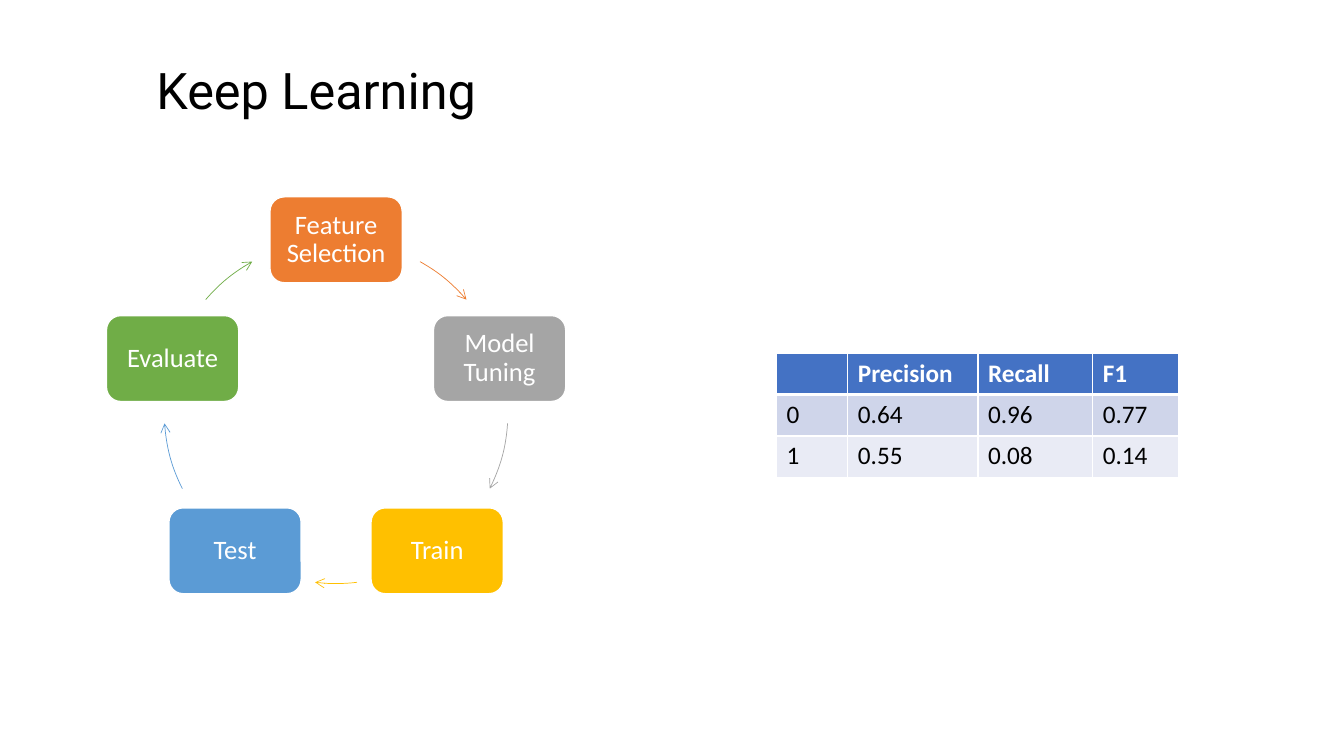
from dataclasses import dataclass
from math import cos, radians, sin

from lxml.etree import SubElement
from pptx import Presentation
from pptx.dml.color import RGBColor
from pptx.enum.shapes import MSO_SHAPE
from pptx.enum.text import MSO_ANCHOR, PP_ALIGN
from pptx.oxml.ns import qn
from pptx.util import Pt


@dataclass(frozen=True)
class Theme:
    """Colours, fonts and type sizes of the slide."""
    black: str = "000000"
    white: str = "FFFFFF"
    header: str = "4472C4"
    bands: tuple = ("CFD5EA", "E9EBF5")
    steps: tuple = ("ED7D31", "A5A5A5", "FFC000", "5B9BD5", "70AD47")
    title_font: str = "Roboto"
    body_font: str = "Calibri"
    title_size: int = 36
    node_size: int = 19
    table_size: int = 18


class Page:
    """Holds the theme and the current slide, and draws elements on it."""

    def __init__(self, slide, theme):
        """Keep the slide's shapes and the theme."""
        self.shapes, self.theme = slide.shapes, theme

    def style(self, para, size, color, font, bold=False):
        """Format every run of a paragraph."""
        for span in para.runs:
            span.font.size, span.font.name, span.font.bold = Pt(size), font, bold
            span.font.color.rgb = RGBColor.from_string(color)

    def title(self, text, left, top, width, height):
        """Add the heading."""
        box = self.shapes.add_textbox(Pt(left), Pt(top), Pt(width), Pt(height))
        frame = box.text_frame
        frame.word_wrap, frame.vertical_anchor = True, MSO_ANCHOR.MIDDLE
        frame.text = text
        para = frame.paragraphs[0]
        para.line_spacing = 0.9
        self.style(para, self.theme.title_size, self.theme.black, self.theme.title_font)

    def node(self, text, center, size, color):
        """Add a rounded step box around a centre point."""
        (x, y), (width, height) = center, size
        box = self.shapes.add_shape(MSO_SHAPE.ROUNDED_RECTANGLE, Pt(x - width / 2),
                                    Pt(y - height / 2), Pt(width), Pt(height))
        box.shadow.inherit = False
        box.fill.solid()
        box.fill.fore_color.rgb = RGBColor.from_string(color)
        box.line.color.rgb = RGBColor.from_string(self.theme.white)
        box.line.width = Pt(1)
        frame = box.text_frame
        frame.word_wrap, frame.vertical_anchor = True, MSO_ANCHOR.MIDDLE
        frame.margin_left = frame.margin_right = Pt(8.5)
        frame.margin_top = frame.margin_bottom = Pt(8.5)
        frame.text = text
        para = frame.paragraphs[0]
        para.alignment, para.line_spacing = PP_ALIGN.CENTER, 0.9
        self.style(para, self.theme.node_size, self.theme.white, self.theme.body_font)

    def arc_arrow(self, center, radius, start, end, color):
        """Add an arc of a circle, clockwise in degrees from the top, with an arrowhead."""
        builder = self.shapes.build_freeform(0, 0)
        builder.add_line_segments([(Pt(radius), Pt(radius))], close=False)
        arrow = builder.convert_to_shape()
        arrow.left, arrow.top = Pt(center[0] - radius), Pt(center[1] - radius)
        arrow.width = arrow.height = Pt(2 * radius)
        outline = next(arrow._element.iter(qn("a:path")))
        outline.clear()
        outline.set("w", str(Pt(2 * radius)))
        outline.set("h", str(Pt(2 * radius)))
        x, y = on_circle((radius, radius), radius, start)
        SubElement(SubElement(outline, qn("a:moveTo")), qn("a:pt"), x=str(Pt(x)), y=str(Pt(y)))
        SubElement(outline, qn("a:arcTo"), wR=str(Pt(radius)), hR=str(Pt(radius)),
                   stAng=str(round((start - 90) % 360 * 60000)),
                   swAng=str(round((end - start) * 60000)))
        arrow.shadow.inherit = False
        arrow.fill.background()
        arrow.line.color.rgb = RGBColor.from_string(color)
        arrow.line.width = Pt(0.5)
        SubElement(arrow.line._get_or_add_ln(), qn("a:tailEnd"), type="arrow")

    def borders(self, cell, bottom, top):
        """Draw white borders around a table cell."""
        properties = cell._tc.get_or_add_tcPr()
        for side, width in (("L", 1), ("R", 1), ("T", top), ("B", bottom)):
            line = SubElement(properties, qn(f"a:ln{side}"), w=str(Pt(width)))
            fill = SubElement(line, qn("a:solidFill"))
            SubElement(fill, qn("a:srgbClr"), val=self.theme.white)

    def table(self, rows, left, top, widths, row_height):
        """Add a table with a bold header and banded rows."""
        theme = self.theme
        table = self.shapes.add_table(len(rows), len(widths), Pt(left), Pt(top), Pt(sum(widths)),
                                      Pt(row_height * len(rows))).table
        for column, width in zip(table.columns, widths):
            column.width = Pt(width)
        for r, values in enumerate(rows):
            header = r == 0
            band = theme.header if header else theme.bands[(r - 1) % 2]
            for c, value in enumerate(values):
                cell = table.cell(r, c)
                self.borders(cell, bottom=3 if header else 1, top=3 if r == 1 else 1)
                cell.fill.solid()
                cell.fill.fore_color.rgb = RGBColor.from_string(band)
                cell.text = value
                self.style(cell.text_frame.paragraphs[0], theme.table_size,
                           theme.white if header else theme.black, theme.body_font, header)


CENTER, RADIUS = (240.1, 294.1), 122.8
NODE_SIZE = (94.5, 61.4)
STEPS = ("Feature Selection", "Model Tuning", "Train", "Test", "Evaluate")
# Clockwise degrees from the top between which each arrow runs
ARCS = ((29.2, 49.3), (93.9, 116.6), (173, 187), (243.4, 266.1), (310.7, 330.8))
SCORES = (("", "Precision", "Recall", "F1"),
          ("0", "0.64", "0.96", "0.77"),
          ("1", "0.55", "0.08", "0.14"))


def on_circle(center, radius, angle):
    """Return a circle's point at a clockwise angle from the top."""
    turn = radians(angle)
    return center[0] + radius * sin(turn), center[1] - radius * cos(turn)


def main():
    """Build and save the slide."""
    deck = Presentation()
    deck.slide_width, deck.slide_height = Pt(960), Pt(540)
    theme = Theme()
    page = Page(deck.slides.add_slide(deck.slide_layouts[6]), theme)
    page.title("Keep Learning", 104.6, 14.4, 828, 104.4)
    page.table(SCORES, 554.6, 252.2, (51, 93, 82, 61.2), 29.6)
    for i, (step, (start, end), color) in enumerate(zip(STEPS, ARCS, theme.steps)):
        page.node(step, on_circle(CENTER, RADIUS, i * 360 / len(STEPS)), NODE_SIZE, color)
        page.arc_arrow(CENTER, RADIUS, start, end, color)
    deck.save("out.pptx")


main()
